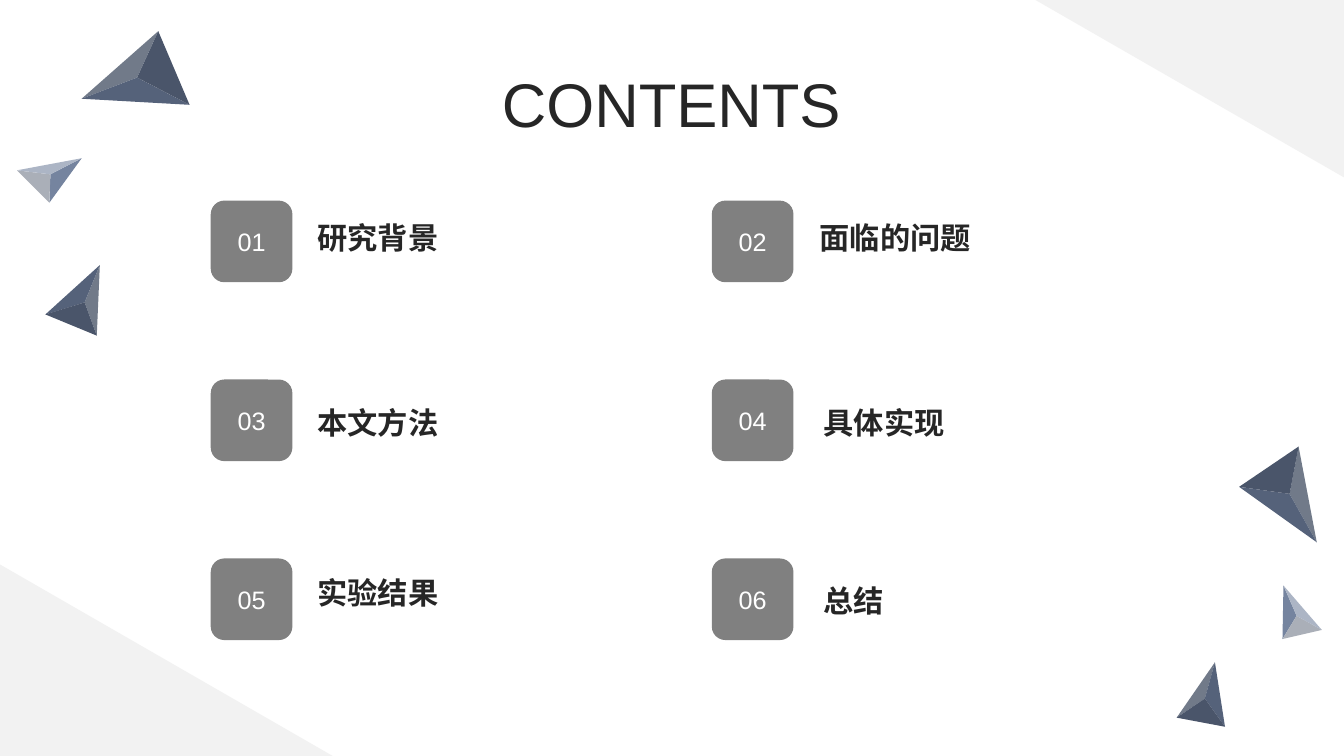
from pptx import Presentation
from pptx.dml.color import RGBColor
from pptx.enum import shapes, text
from pptx.util import Inches, Pt

TITLE = "CONTENTS"
FONT, INK, GRAY, PALE, WHITE = "Arial", "262626", "808080", "F2F2F2", "FFFFFF"
TOPICS = [
    ("研究背景", 3.05, 2.07, 3.41),
    ("面临的问题", 8.03, 2.07, 3.41),
    ("本文方法", 3.05, 3.91, 3.41),
    ("具体实现", 8.07, 3.91, 4.22),
    ("实验结果", 3.05, 5.6, 3.41),
    ("总结", 8.07, 5.68, 3.41),
]
BADGE_LEFT, BADGE_TOP, BADGE_SIZE = 2.09, 1.99, 0.81
COLUMN_STEP, ROW_STEP = 4.97, 1.775
DARK = ("717A89", "55627A", "4A556A")
LIGHT = ("75849F", "AAAFB8", "ACB5C5")
PYRAMIDS = [
    (DARK, (12.88, 4.43), (13.06, 5.38), (12.29, 4.83), (12.79, 4.9)),
    (LIGHT, (12.73, 5.81), (12.72, 6.34), (13.11, 6.25), (12.86, 6.11)),
    (DARK, (11.67, 7.12), (12.05, 6.57), (12.15, 7.21), (11.95, 6.93)),
    (DARK, (1.57, 0.31), (0.81, 0.98), (1.88, 1.04), (1.36, 0.77)),
    (LIGHT, (0.81, 1.57), (0.49, 2.01), (0.17, 1.69), (0.5, 1.73)),
    (DARK, (0.96, 3.33), (0.99, 2.63), (0.45, 3.12), (0.84, 3)),
]
CORNERS = [(0, 5.6, 3.3, 1.9, 0), (10.27, 0, 3.06, 1.76, 180)]


def rgb(color):
    return RGBColor.from_string(color)


def paint(sp, color):
    sp.shadow.inherit = False
    sp.fill.solid()
    sp.fill.fore_color.rgb = rgb(color)
    sp.line.fill.background()


def write(sp, words, size, color, anchor, align, bold=False):
    tf = sp.text_frame
    tf.text = words
    tf.word_wrap = True
    tf.auto_size = text.MSO_AUTO_SIZE.NONE
    tf.vertical_anchor = anchor
    p = tf.paragraphs[0]
    p.alignment = align
    font = p.runs[0].font
    font.name, font.size, font.bold = FONT, Pt(size), bold
    font.color.rgb = rgb(color)


def add_preset(s, kind, box, color):
    sp = s.shapes.add_shape(kind, *map(Inches, box))
    paint(sp, color)
    return sp


def add_pyramid(s, colors, *corners):
    a, b, c, peak = [(Inches(x), Inches(y)) for x, y in corners]
    for color, (start, end) in zip(colors, [(a, b), (c, b), (a, c)]):
        face = s.shapes.build_freeform(*start)
        face.add_line_segments([end, peak], close=True)
        paint(face.convert_to_shape(), color)


def main():
    prs = Presentation()
    prs.slide_width, prs.slide_height = Inches(13.33), Inches(7.5)
    s = prs.slides.add_slide(prs.slide_layouts[5])
    middle, center = text.MSO_ANCHOR.MIDDLE, text.PP_ALIGN.CENTER

    title = s.shapes.title
    title.left, title.top = Inches(4.85), Inches(0.55)
    title.width, title.height = Inches(3.62), Inches(0.94)
    write(title, TITLE, 44, INK, middle, center)

    for i, (topic, left, top, width) in enumerate(TOPICS):
        row, column = divmod(i, 2)
        box = (BADGE_LEFT + column * COLUMN_STEP, BADGE_TOP + row * ROW_STEP,
               BADGE_SIZE, BADGE_SIZE)
        badge = add_preset(s, shapes.MSO_SHAPE.ROUNDED_RECTANGLE, box, GRAY)
        write(badge, f"{i + 1:02}", 18, WHITE, middle, center)
        label = s.shapes.add_textbox(*map(Inches, (left, top, width, 0.51)))
        write(label, topic, 21.6, INK, text.MSO_ANCHOR.BOTTOM,
              text.PP_ALIGN.LEFT, True)

    for pyramid in PYRAMIDS:
        add_pyramid(s, *pyramid)

    for *box, angle in CORNERS:
        add_preset(s, shapes.MSO_SHAPE.RIGHT_TRIANGLE, box, PALE).rotation = angle

    prs.save("out.pptx")


if __name__ == "__main__":
    main()
